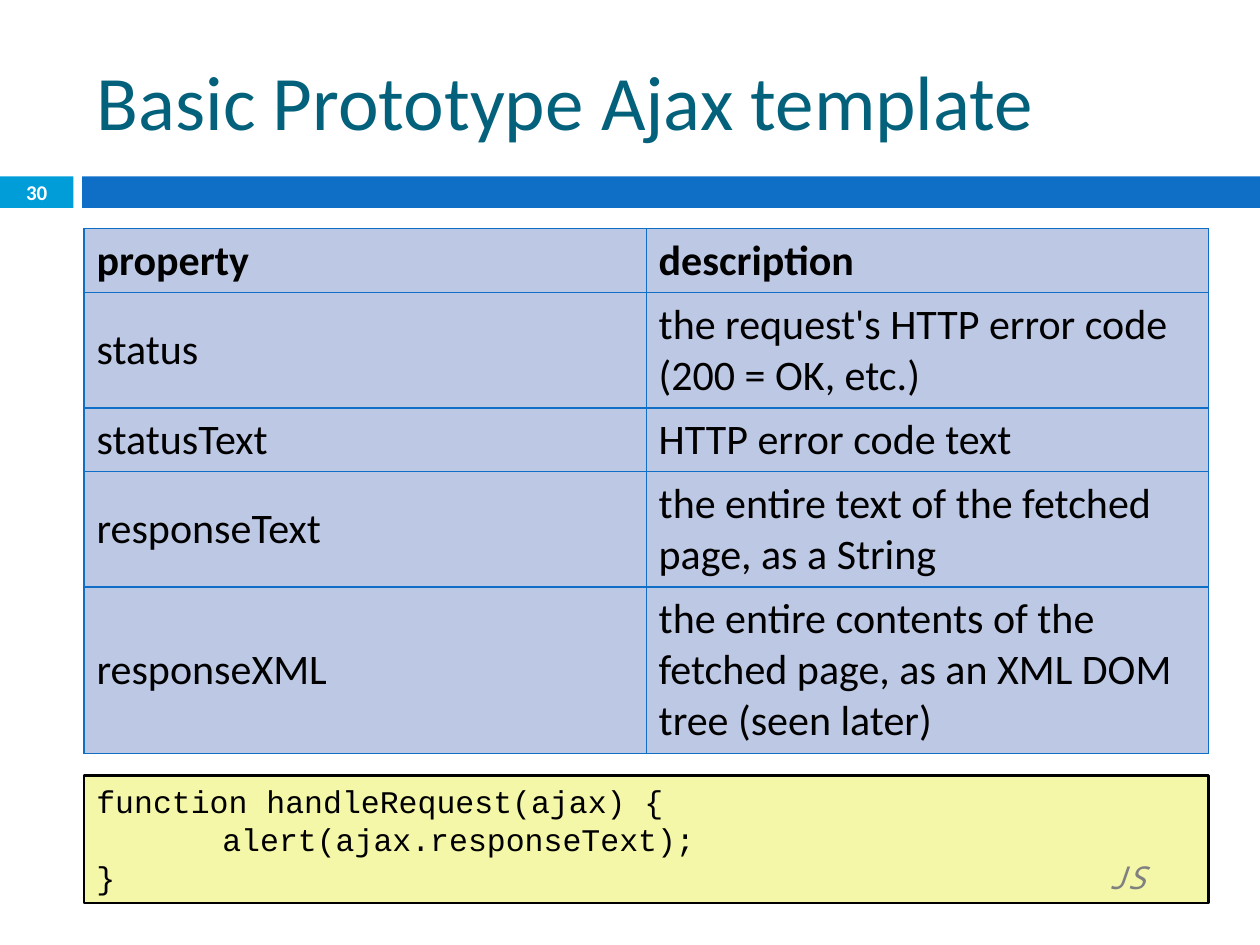
from lxml.etree import SubElement
from pptx import Presentation
from pptx.dml.color import RGBColor
from pptx.enum.shapes import MSO_SHAPE as Shape
from pptx.enum.text import MSO_ANCHOR as Anchor, PP_ALIGN as Align
from pptx.oxml.ns import qn
from pptx.util import Pt

BLUE, CYAN, TEAL = "0F6FC6", "009DD9", "04617B"
CELL_FILL, CODE_FILL = "BDC8E4", "F4F6A8"
LEFT, WIDTH = 48, 642.5

ROWS = [
    ("property", "description", 36.5),
    ("status", "the request's HTTP error code (200 = OK, etc.)", 64.5),
    ("statusText", "HTTP error code text", 36),
    ("responseText", "the entire text of the fetched page, as a String", 64.5),
    ("responseXML", "the entire contents of the fetched page, "
                    "as an XML DOM tree (seen later)", 93.5),
]


def color(value):
    return RGBColor.from_string(value)


def add_span(para, text, size, ink, font="Calibri", bold=False, italic=False):
    span = para.add_run()
    span.text = text
    span.font.name, span.font.size = font, Pt(size)
    span.font.bold, span.font.italic = bold, italic
    span.font.color.rgb = color(ink)


def add_rectangle(page, left, top, width, height, fill, line=None):
    box = page.shapes.add_shape(Shape.RECTANGLE, Pt(left), Pt(top), Pt(width), Pt(height))
    box.shadow.inherit = False
    box.fill.solid()
    box.fill.fore_color.rgb = color(fill)
    if line:
        box.line.color.rgb = color(line)
        box.line.width = Pt(1.5)
    else:
        box.line.fill.background()
    return box


def add_tab_stop(para, position):
    stops = SubElement(para._p.get_or_add_pPr(), qn("a:tabLst"))
    SubElement(stops, qn("a:tab"), pos=str(Pt(position)), algn="l")


def set_borders(cell, ink, width):
    properties = cell._tc.get_or_add_tcPr()
    for index, side in enumerate(("lnL", "lnR", "lnT", "lnB")):
        line = SubElement(properties, qn(f"a:{side}"), w=str(Pt(width)))
        fill = SubElement(line, qn("a:solidFill"))
        SubElement(fill, qn("a:srgbClr"), val=ink)
        properties.insert(index, line)  # borders come before the cell fill


def add_title(page, left, top, width, height):
    title = page.shapes.title
    title.left, title.top, title.width, title.height = map(Pt, (left, top, width, height))
    frame = title.text_frame
    frame.vertical_anchor = Anchor.MIDDLE
    para = frame.paragraphs[0]
    para.alignment = Align.LEFT
    add_span(para, "Basic Prototype Ajax template", 44, TEAL)


def add_band(page, left, top, width, height):
    number_width, gap = 42, 5
    number = add_rectangle(page, left, top, number_width, height, CYAN)
    start = number_width + gap
    add_rectangle(page, left + start, top, width - start, height, BLUE)
    # Page number
    frame = number.text_frame
    frame.margin_top = frame.margin_bottom = 0
    frame.vertical_anchor = Anchor.MIDDLE
    para = frame.paragraphs[0]
    para.alignment = Align.CENTER
    add_span(para, "30", 12, "FFFFFF", bold=True)


def add_property_table(page, left, top, width):
    height = sum(row[-1] for row in ROWS)
    table = page.shapes.add_table(len(ROWS), 2, Pt(left), Pt(top), Pt(width), Pt(height)).table
    for column in table.columns:
        column.width = Pt(width / 2)
    for row_index, (*texts, row_height) in enumerate(ROWS):
        table.rows[row_index].height = Pt(row_height)
        for column_index, text in enumerate(texts):
            cell = table.cell(row_index, column_index)
            cell.vertical_anchor = Anchor.MIDDLE
            cell.fill.solid()
            cell.fill.fore_color.rgb = color(CELL_FILL)
            set_borders(cell, BLUE, 0.79)
            add_span(cell.text_frame.paragraphs[0], text, 24, "000000", bold=row_index == 0)


def add_code(page, left, top, width, height):
    frame = add_rectangle(page, left, top, width, height, CODE_FILL, "000000").text_frame
    frame.word_wrap = True
    frame.vertical_anchor = Anchor.TOP
    lines = ["function handleRequest(ajax) {", "\talert(ajax.responseText);", "}\t"]
    for index, text in enumerate(lines):
        para = frame.add_paragraph() if index else frame.paragraphs[0]
        para.alignment = Align.LEFT
        add_span(para, text, 18, "000000", "Courier New")
    # Language label at the end of the last line
    add_tab_stop(frame.paragraphs[1], 72)
    add_tab_stop(para, 578)
    add_span(para, "JS", 18, "808080", "Noto Sans Mono", italic=True)


def main():
    deck = Presentation()
    deck.slide_width, deck.slide_height = Pt(720), Pt(540)
    page = deck.slides.add_slide(deck.slide_layouts[5])
    add_band(page, 0, 100.8, 720, 18)
    add_title(page, LEFT, 18, WIDTH, 78)
    add_code(page, LEFT, 443.3, WIDTH, 72.7)
    add_property_table(page, LEFT, 130.8, WIDTH)
    deck.save("out.pptx")


if __name__ == "__main__":
    main()
